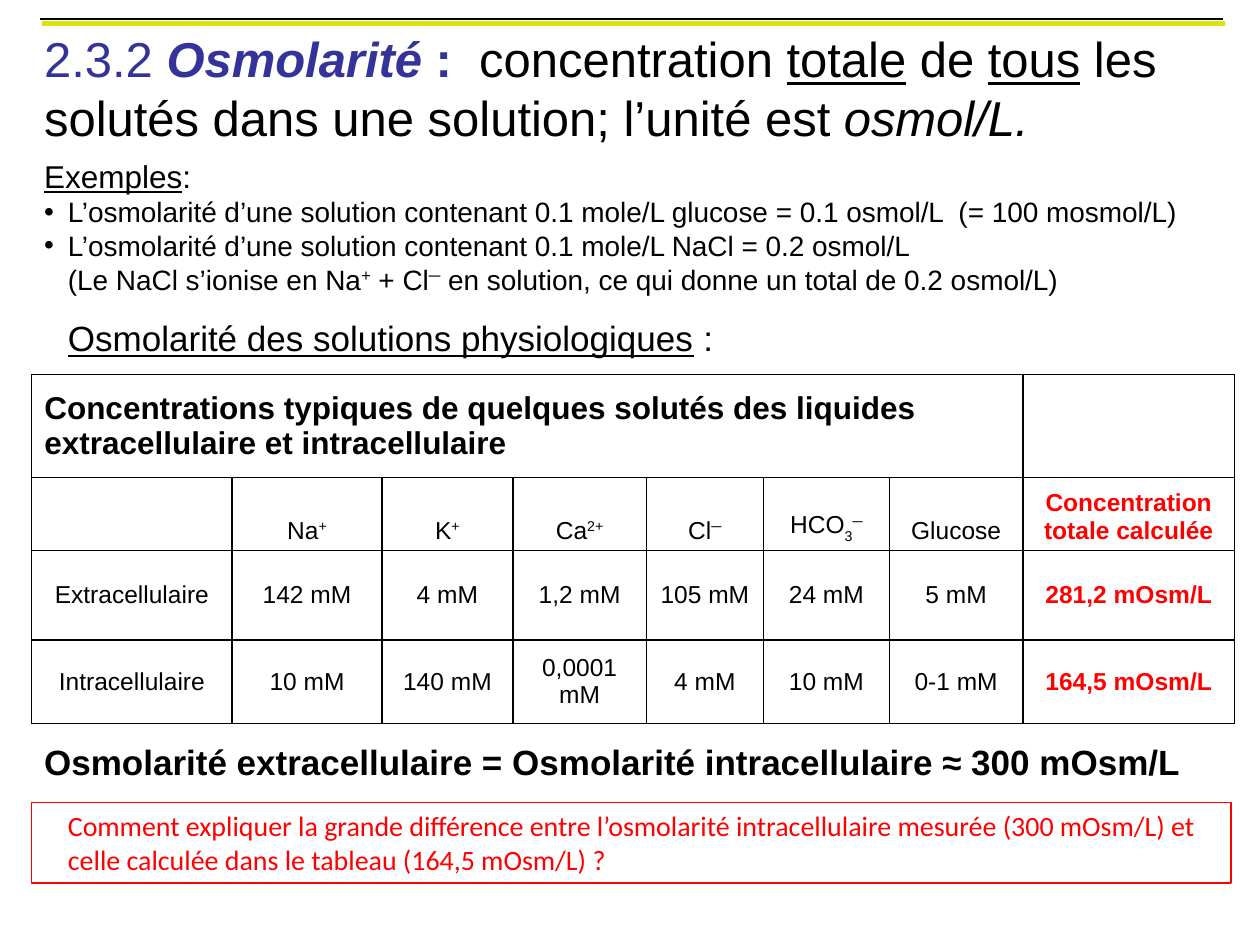
from lxml import etree
from pptx import Presentation
from pptx import util as u
from pptx.dml.color import RGBColor
from pptx.enum import shapes, text
from pptx.oxml.ns import qn

BLACK, BLUE, RED, LIME = "000000", "333399", "FF0000", "D9E30D"
LEFT = 0.64
HANG = u.Cm(0.48)
COLUMN_WIDTHS = [4.04, 3.02, 2.64, 2.69, 2.36, 2.54, 2.69, 4.27]
ROW_HEIGHTS = [2.08, 1.47, 1.8, 1.68]
UP, DOWN = {"baseline": 30}, {"baseline": -30}

TABLE_TITLE = "Concentrations typiques de quelques solutés des liquides extracellulaire et intracellulaire"
SOLUTES = [
    [("Na", {}), ("+", UP)],
    [("K", {}), ("+", UP)],
    [("Ca", {}), ("2+", UP)],
    [("Cl", {}), ("─", UP)],
    [("HCO", {}), ("3", DOWN), ("─", UP)],
    [("Glucose", {})],
]
TOTAL = "Concentration totale calculée"
MEASURES = [
    ["Extracellulaire", "142 mM", "4 mM", "1,2 mM", "105 mM", "24 mM", "5 mM", "281,2 mOsm/L"],
    ["Intracellulaire", "10 mM", "140 mM", "0,0001 mM", "4 mM", "10 mM", "0-1 mM", "164,5 mOsm/L"],
]


def color(code):
    return RGBColor.from_string(code)


def add_span(para, words, size=16, fill=BLACK, font="Arial", bold=False,
             italic=False, underline=False, baseline=0):
    span = para.add_run()
    span.text = words
    span.font.size = u.Pt(size)
    span.font.name = font
    span.font.bold = bold
    span.font.italic = italic
    span.font.underline = underline
    span.font.color.rgb = color(fill)
    if baseline:
        span.font._element.set("baseline", str(baseline * 1000))


def add_spans(para, spans, **common):
    """Add (words, format) pairs that share the common format."""
    for words, own in spans:
        add_span(para, words, **{**common, **own})


def indent(para, bullet=None):
    properties = para._p.get_or_add_pPr()
    properties.set("marL", str(HANG))
    properties.set("indent", str(-HANG if bullet else 0))
    if bullet:
        etree.SubElement(properties, qn("a:buFont")).set("typeface", "Arial")
        etree.SubElement(properties, qn("a:buChar")).set("char", bullet)


def add_line(page, left, top, width, fill, weight):
    line = page.shapes.add_connector(
        shapes.MSO_CONNECTOR.STRAIGHT, u.Cm(left), u.Cm(top), u.Cm(left + width), u.Cm(top))
    line.line.color.rgb = color(fill)
    line.line.width = u.Pt(weight)
    etree.SubElement(line._element.spPr, qn("a:effectLst"))


def add_box(page, top, width, height, wrap=True):
    box = page.shapes.add_textbox(u.Cm(LEFT), u.Cm(top), u.Cm(width), u.Cm(height))
    box.text_frame.word_wrap = wrap
    return box.text_frame


def add_explanation(page):
    frame = add_box(page, 0.46, 24.43, 7.26)
    add_spans(frame.paragraphs[0], [
        ("2.3.2 ", {"fill": BLUE}),
        ("Osmolarité ", {"fill": BLUE, "bold": True, "italic": True}),
        (":  ", {"fill": BLUE, "bold": True}),
        ("concentration ", {}),
        ("totale", {"underline": True}),
        (" de ", {}),
        ("tous", {"underline": True}),
        (" les solutés dans une solution; l’unité est ", {}),
        ("osmol/L.", {"italic": True}),
    ], size=28)

    para = frame.add_paragraph()
    para.space_before = u.Pt(6)
    add_spans(para, [("Exemples", {"underline": True}), (":", {})], size=18)

    for example in ("glucose = 0.1 osmol/L  (= 100 mosmol/L)", "NaCl = 0.2 osmol/L"):
        para = frame.add_paragraph()
        indent(para, "•")
        add_span(para, "L’osmolarité d’une solution contenant 0.1 mole/L " + example)

    para = frame.add_paragraph()
    indent(para)
    add_spans(para, [
        ("(Le NaCl s’ionise en Na", {}), ("+", UP), (" + Cl", {}), ("─", UP),
        (" en solution, ce qui donne un total de 0.2 osmol/L)", {}),
    ])

    para = frame.add_paragraph()
    indent(para)
    para.space_before = u.Pt(12)
    add_spans(para, [("Osmolarité des solutions physiologiques", {"underline": True}),
                     (" :", {})], size=20)


def outline_cell(cell):
    properties = cell._tc.get_or_add_tcPr()
    for side in ("a:lnL", "a:lnR", "a:lnT", "a:lnB"):
        border = etree.SubElement(properties, qn(side), w=str(u.Pt(1)))
        fill = etree.SubElement(border, qn("a:solidFill"))
        etree.SubElement(fill, qn("a:srgbClr"), val=BLACK)
    cell.fill.background()


def fill_cell(cell, spans, anchor, **style):
    cell.vertical_anchor = anchor
    para = cell.text_frame.paragraphs[0]
    para.alignment = text.PP_ALIGN.CENTER
    add_spans(para, spans, size=14, **style)


def add_concentrations(page):
    table = page.shapes.add_table(
        len(ROW_HEIGHTS), len(COLUMN_WIDTHS), u.Cm(LEFT), u.Cm(7.55),
        u.Cm(sum(COLUMN_WIDTHS)), u.Cm(sum(ROW_HEIGHTS))).table
    table.first_row = table.horz_banding = False
    for column, width in zip(table.columns, COLUMN_WIDTHS):
        column.width = u.Cm(width)
    for row, height in zip(table.rows, ROW_HEIGHTS):
        row.height = u.Cm(height)
    for cell in table.iter_cells():
        outline_cell(cell)

    heading = table.cell(0, 0)
    heading.merge(table.cell(0, 6))
    heading.vertical_anchor = text.MSO_ANCHOR.MIDDLE
    add_span(heading.text_frame.paragraphs[0], TABLE_TITLE, size=18, bold=True)

    total_style = {"fill": RED, "bold": True}
    for column, solute in enumerate(SOLUTES, 1):
        fill_cell(table.cell(1, column), solute, text.MSO_ANCHOR.BOTTOM)
    fill_cell(table.cell(1, 7), [(TOTAL, total_style)], text.MSO_ANCHOR.BOTTOM)
    for row, values in enumerate(MEASURES, 2):
        for column, value in enumerate(values):
            style = total_style if column == 7 else {}
            fill_cell(table.cell(row, column), [(value, style)], text.MSO_ANCHOR.MIDDLE)


def add_conclusion(page):
    frame = add_box(page, 14.81, 23.55, 1.11, wrap=False)
    add_span(frame.paragraphs[0],
             "Osmolarité extracellulaire = Osmolarité intracellulaire ≈ 300 mOsm/L",
             size=20, bold=True)


def add_question(page):
    box = page.shapes.add_shape(
        shapes.MSO_SHAPE.RECTANGLE, u.Cm(LEFT), u.Cm(16.18), u.Cm(24.18), u.Cm(1.62))
    box.shadow.inherit = False
    box.fill.background()
    box.line.color.rgb = color(RED)
    box.line.width = u.Pt(0.75)
    box.text_frame.word_wrap = True
    box.text_frame.vertical_anchor = text.MSO_ANCHOR.TOP
    para = box.text_frame.paragraphs[0]
    para.alignment = text.PP_ALIGN.LEFT
    indent(para)
    add_span(para, "Comment expliquer la grande différence entre l’osmolarité intracellulaire "
             "mesurée (300 mOsm/L) et celle calculée dans le tableau (164,5 mOsm/L) ?",
             fill=RED, font="Calibri")


def main():
    deck = Presentation()
    deck.slide_width, deck.slide_height = u.Cm(25.4), u.Cm(19.05)
    page = deck.slides.add_slide(deck.slide_layouts[6])
    add_line(page, 0.84, 0.48, 23.85, LIME, 3)
    add_line(page, 0.81, 0.38, 23.85, BLACK, 1.5)
    add_concentrations(page)
    add_conclusion(page)
    add_explanation(page)
    add_question(page)
    deck.save("out.pptx")


if __name__ == "__main__":
    main()
